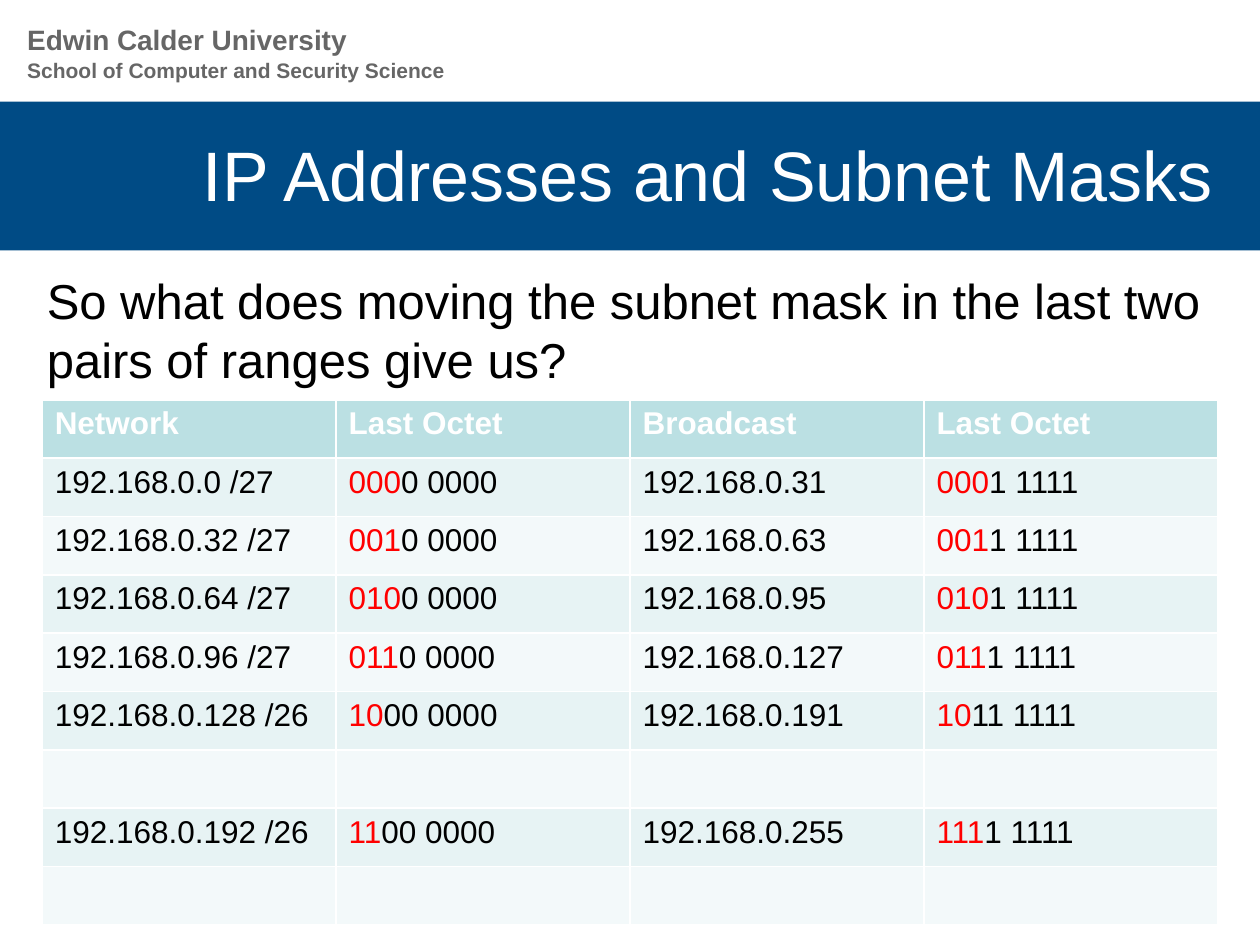
"""Build a slide on IP addresses and subnet masks with a table of ranges."""
from pptx import Presentation
from pptx.dml.color import RGBColor
from pptx.enum import shapes, text
from pptx.util import Cm, Pt

WHITE = RGBColor(0xFF, 0xFF, 0xFF)
BLACK = RGBColor(0, 0, 0)
RED = RGBColor(0xFF, 0, 0)
GREY = RGBColor(0x66, 0x66, 0x66)
BLUE = RGBColor(0, 0x4B, 0x85)
TEAL = RGBColor(0xBB, 0xE0, 0xE3)
PALE = RGBColor(0xE7, 0xF3, 0xF4)
FAINT = RGBColor(0xF3, 0xF9, 0xFA)


def style(run, size, color, bold=False):
    font = run.font
    font.name, font.size, font.bold = "Arial", Pt(size), bold
    font.color.rgb = color


def place(shape, left, top, width, height):
    shape.left, shape.top = Cm(left), Cm(top)
    shape.width, shape.height = Cm(width), Cm(height)


deck = Presentation()
deck.slide_width, deck.slide_height = Cm(25.4), Cm(19.05)
slide = deck.slides.add_slide(deck.slide_layouts[1])
items = slide.shapes

band = items.add_shape(shapes.MSO_SHAPE.RECTANGLE, 0, Cm(2.05), Cm(25.4), Cm(3))
band.shadow.inherit = False
band.fill.solid()
band.fill.fore_color.rgb = BLUE
band.line.fill.background()
items._spTree.insert(2, band._element)

for words, top, height, size in (
    ("School of Computer and Security Science", 1.04, 0.76, 12),
    ("Edwin Calder University", 0.33, 0.94, 16),
):
    box = items.add_textbox(Cm(0.3), Cm(top), Cm(14.96), Cm(height))
    box.text_frame.word_wrap = True
    box.text_frame.text = words
    style(box.text_frame.paragraphs[0].runs[0], size, GREY, True)

title = items.title
place(title, 0.69, 2.11, 24, 2.77)
title.text_frame.text = "IP Addresses and Subnet Masks"
title.text_frame.auto_size = text.MSO_AUTO_SIZE.NONE
title.text_frame.vertical_anchor = text.MSO_ANCHOR.MIDDLE
head = title.text_frame.paragraphs[0]
head.alignment = text.PP_ALIGN.RIGHT
style(head.runs[0], 40, WHITE)

body = slide.placeholders[1]
place(body, 0.69, 5.33, 24, 13)
body.text_frame.text = (
    "So what does moving the subnet mask in the last two pairs of ranges give us?"
)
body.text_frame.auto_size = text.MSO_AUTO_SIZE.NONE
lead = body.text_frame.paragraphs[0]
style(lead.runs[0], 28, BLACK)
props = lead._p.get_or_add_pPr()
props.set("marL", "0")
props.set("indent", "0")
props.insert(0, props.makeelement(
    "{http://schemas.openxmlformats.org/drawingml/2006/main}buNone", {}))

rows = (
    ("Network", "Last Octet", "Broadcast", "Last Octet"),
    ("192.168.0.0 /27", "000|0 0000", "192.168.0.31", "000|1 1111"),
    ("192.168.0.32 /27", "001|0 0000", "192.168.0.63", "001|1 1111"),
    ("192.168.0.64 /27", "010|0 0000", "192.168.0.95", "010|1 1111"),
    ("192.168.0.96 /27", "011|0 0000", "192.168.0.127", "011|1 1111"),
    ("192.168.0.128 /26", "10|00 0000", "192.168.0.191", "10|11 1111"),
    ("",) * 4,
    ("192.168.0.192 /26", "11|00 0000", "192.168.0.255", "111|1 1111"),
    ("",) * 4,
)
grid = items.add_table(
    len(rows), 4, Cm(0.85), Cm(8.06), Cm(23.7), Cm(10.59)).table
for r, row in enumerate(rows):
    for c, words in enumerate(row):
        cell = grid.cell(r, c)
        cell.fill.solid()
        cell.fill.fore_color.rgb = TEAL if r == 0 else PALE if r % 2 else FAINT
        line = cell.text_frame.paragraphs[0]
        mask, bar, rest = words.rpartition("|")
        if mask:
            run = line.add_run()
            run.text = mask
            style(run, 18, RED)
        if rest:
            run = line.add_run()
            run.text = rest
            style(run, 18, BLACK if r else WHITE, r == 0)

deck.save("out.pptx")
